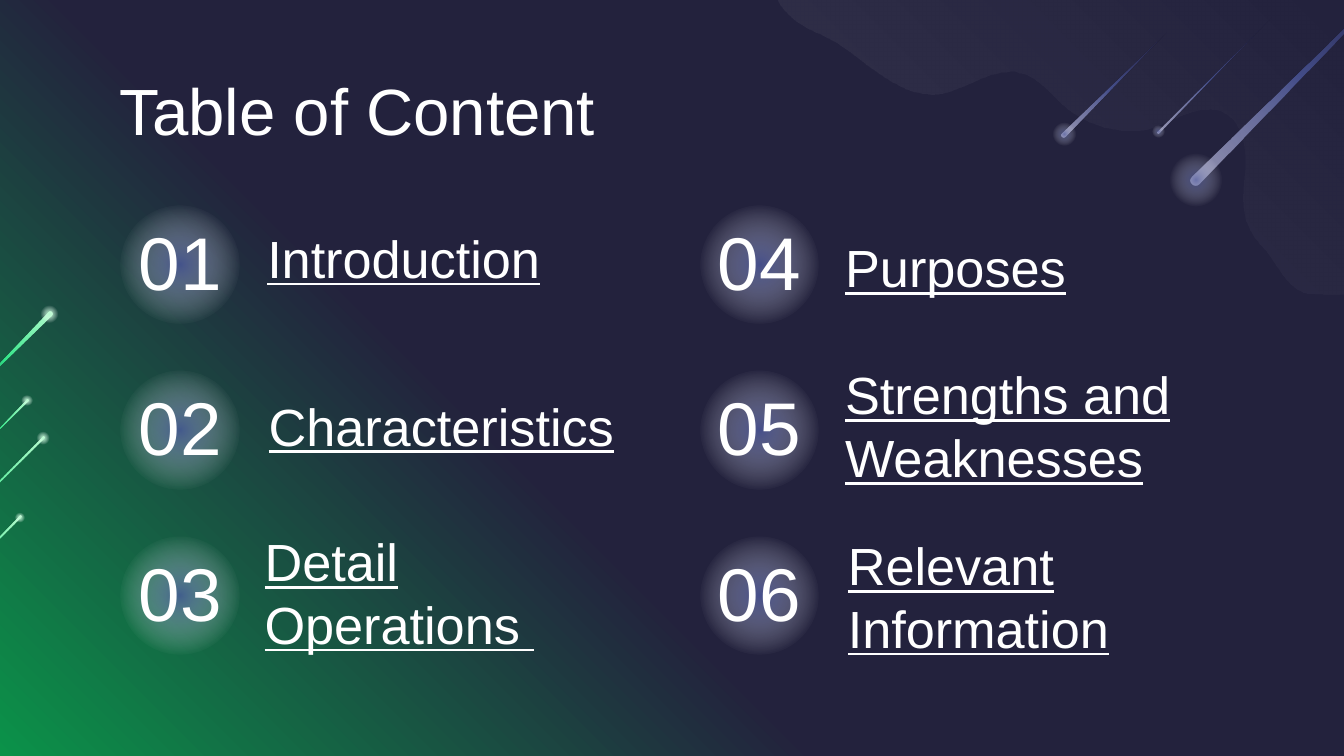
from math import atan2, cos, pi, sin

from lxml.etree import SubElement
from pptx import Presentation
from pptx.dml.color import RGBColor
from pptx.enum.shapes import MSO_SHAPE
from pptx.enum.text import MSO_ANCHOR, PP_ALIGN
from pptx.oxml import parse_xml
from pptx.oxml.ns import nsdecls, qn
from pptx.util import Inches, Pt

TITLE = "Table of Content"
CHAPTERS = [
    ("01", "Introduction", 0.01, -0.16, 0.69),
    ("02", "Characteristics", 0.02, 0, 0.41),
    ("03", "Detail Operations ", -0.01, 0.01, 0.41),
    ("04", "Purposes", 0, 0.05, 0.41),
    ("05", "Strengths and Weaknesses", 0, 0, 0.41),
    ("06", "Relevant Information", 0.02, 0.04, 0.41),
]
VIOLET_METEORS = [
    ((8.68, 0.24), (7.92, 1), 0.02, (0.19, 0.17)),
    ((9.46, 0.13), (8.62, 0.98), 0.01, (0.1, 0.09)),
    ((10.61, -0.38), (8.9, 1.34), 0.04, (0.44, 0.39)),
]
GREEN_METEORS = [
    ((-0.38, 3.1), (0.37, 2.34), 0.02, (0.19, 0.17)),
    ((-0.28, 3.47), (0.2, 2.98), 0.01, (0.12, 0.11)),
    ((-0.87, 4.45), (0.32, 3.26), 0.01, (0.14, 0.12)),
    ((-0.69, 4.7), (0.15, 3.85), 0.01, (0.11, 0.09)),
]
CLOUD_START = (9.88, 2.19)
CLOUD_CURVES = [
    ((9.86, 2.19), (9.85, 2.19), (9.83, 2.18)),
    ((9.78, 2.18), (9.73, 2.18), (9.69, 2.17)),
    ((9.57, 2.12), (9.51, 1.99), (9.43, 1.88)),
    ((9.38, 1.82), (9.32, 1.76), (9.29, 1.69)),
    ((9.22, 1.55), (9.25, 1.39), (9.26, 1.23)),
    ((9.27, 1.08), (9.23, 0.89), (9.09, 0.83)),
    ((9.06, 0.82), (9.02, 0.81), (8.99, 0.81)),
    ((8.82, 0.81), (8.64, 0.95), (8.48, 0.97)),
    ((8.46, 0.97), (8.43, 0.97), (8.4, 0.97)),
    ((8.23, 0.97), (8.06, 0.91), (7.93, 0.8)),
    ((7.82, 0.71), (7.73, 0.57), (7.58, 0.54)),
    ((7.56, 0.53), (7.53, 0.53), (7.51, 0.53)),
    ((7.32, 0.53), (7.15, 0.69), (6.95, 0.7)),
    ((6.94, 0.7), (6.93, 0.7), (6.92, 0.7)),
    ((6.75, 0.7), (6.6, 0.59), (6.46, 0.49)),
    ((6.34, 0.39), (6.21, 0.3), (6.07, 0.24)),
    ((5.94, 0.19), (5.81, 0.08), (5.76, -0.05)),
]
CLOUD_CORNERS = [(10.04, -0.05), (10.04, 2.18)]

THEME = {
    "text": {"name": "Arial", "color": "FFFFFF"},
    "title": {"size": Pt(35)},
    "number": {"size": Pt(40)},
    "heading": {"size": Pt(28), "underline": True},
    "sky": ([(0, "0B9249", 100), (39, "23223D", 100), (100, "23223D", 100)], 315),
    "cloud": ([(0, "FFFFFF", 0), (100, "FFFFFF", 8)], 135),
    "violet tail": ([(0, "24224D", 50), (54, "515EA6", 72), (100, "E2E1FF", 60)], 135),
    "violet glow": ([(0, "515EA6", 60), (66, "FFFFFF", 0), (100, "FFFFFF", 0)], None),
    "green tail": ([(0, "24224D", 50), (54, "33E689", 100), (100, "B7FDD0", 100)], 315),
    "green glow": ([(0, "B7FDD0", 100), (50, "FFFFFF", 0), (100, "FFFFFF", 0)], None),
    "number glow": ([(0, "515EA6", 74), (72, "FFFFFF", 0), (100, "FFFFFF", 0)], None),
}
FRAME = {
    "word_wrap": True,
    "margin_left": Inches(0.1),
    "margin_right": Inches(0.1),
    "margin_top": Inches(0.1),
    "margin_bottom": Inches(0.1),
}
GRID = {"left": 0.9, "top": 1.53, "column": 4.31, "row": 1.23, "rows": 3, "disc": 0.88}


def paint(owner, fill, look):
    stops, angle = THEME[look]
    fill.gradient()
    plain = owner.xpath(".//a:gradFill")[0]
    gradient = parse_xml(f'<a:gradFill {nsdecls("a")} rotWithShape="1"><a:gsLst/></a:gradFill>')
    for place, color, opacity in stops:
        stop = SubElement(gradient[0], qn("a:gs"), pos=str(place * 1000))
        tone = SubElement(stop, qn("a:srgbClr"), val=color)
        if opacity < 100:
            SubElement(tone, qn("a:alpha"), val=str(opacity * 1000))
    if angle is None:
        radial = SubElement(gradient, qn("a:path"), path="circle")
        SubElement(radial, qn("a:fillToRect"), l="50000", t="50000", r="50000", b="50000")
    else:
        SubElement(gradient, qn("a:lin"), ang=str(angle * 60000), scaled="0")
    plain.getparent().replace(plain, gradient)


def finish(shape, look):
    paint(shape.element, shape.fill, look)
    shape.line.fill.background()
    shape.shadow.inherit = False


def add_outline(slide, points, look):
    corners = [(Inches(x), Inches(y)) for x, y in points]
    builder = slide.shapes.build_freeform(*corners[0], scale=1.0)
    builder.add_line_segments(corners[1:], close=True)
    finish(builder.convert_to_shape(), look)


def add_glow(slide, left, top, width, height, look):
    box = map(Inches, (left, top, width, height))
    finish(slide.shapes.add_shape(MSO_SHAPE.OVAL, *box), look)


def add_words(slide, words, box, role, anchor=MSO_ANCHOR.MIDDLE, align=PP_ALIGN.LEFT):
    frame = slide.shapes.add_textbox(*map(Inches, box)).text_frame
    for key, value in {**FRAME, "vertical_anchor": anchor}.items():
        setattr(frame, key, value)
    paragraph = frame.paragraphs[0]
    paragraph.alignment = align
    run = paragraph.add_run()
    run.text = words
    for key, value in {"name": THEME["text"]["name"], **THEME[role]}.items():
        setattr(run.font, key, value)
    run.font.color.rgb = RGBColor.from_string(THEME["text"]["color"])


def cloud_outline(steps=8):
    points = [CLOUD_START]
    for curve in CLOUD_CURVES:
        knots = (points[-1], *curve)
        for step in range(1, steps + 1):
            t = step / steps
            weights = ((1 - t) ** 3, 3 * t * (1 - t) ** 2, 3 * t * t * (1 - t), t ** 3)
            points.append(tuple(sum(w * k[axis] for w, k in zip(weights, knots)) for axis in (0, 1)))
    return points + CLOUD_CORNERS


def add_meteor(slide, tip, head, radius, glow, hue):
    heading = atan2(head[1] - tip[1], head[0] - tip[0])
    turns = [heading + pi * (step / 8 - 0.5) for step in range(9)]
    cap = [(head[0] + radius * cos(a), head[1] + radius * sin(a)) for a in turns]
    add_outline(slide, [tip, *cap], f"{hue} tail")
    width, height = glow
    add_glow(slide, head[0] - width / 2, head[1] - height / 2, width, height, f"{hue} glow")


def add_chapter(slide, index, number, heading, shift_x, shift_y, height):
    column, row = divmod(index, GRID["rows"])
    left = GRID["left"] + column * GRID["column"]
    top = GRID["top"] + row * GRID["row"]
    disc = GRID["disc"]
    add_glow(slide, left, top, disc, disc, "number glow")
    add_words(slide, number, (left + 0.02, top + 0.12, 0.84, 0.58), "number", align=PP_ALIGN.CENTER)
    add_words(slide, heading, (left + 0.98 + shift_x, top + 0.2 + shift_y, 2.89, height), "heading")


def main():
    deck = Presentation()
    deck.slide_width = Inches(10)
    deck.slide_height = deck.slide_width * 9 // 16
    slide = deck.slides.add_slide(deck.slide_layouts[6])
    paint(slide.element, slide.background.fill, "sky")
    add_outline(slide, cloud_outline(), "cloud")
    for hue, meteors in (("violet", VIOLET_METEORS), ("green", GREEN_METEORS)):
        for meteor in meteors:
            add_meteor(slide, *meteor, hue)
    add_words(slide, TITLE, (0.79, 0.42, 8.43, 0.65), "title", anchor=MSO_ANCHOR.TOP)
    for index, chapter in enumerate(CHAPTERS):
        add_chapter(slide, index, *chapter)
    deck.save("out.pptx")


if __name__ == "__main__":
    main()
